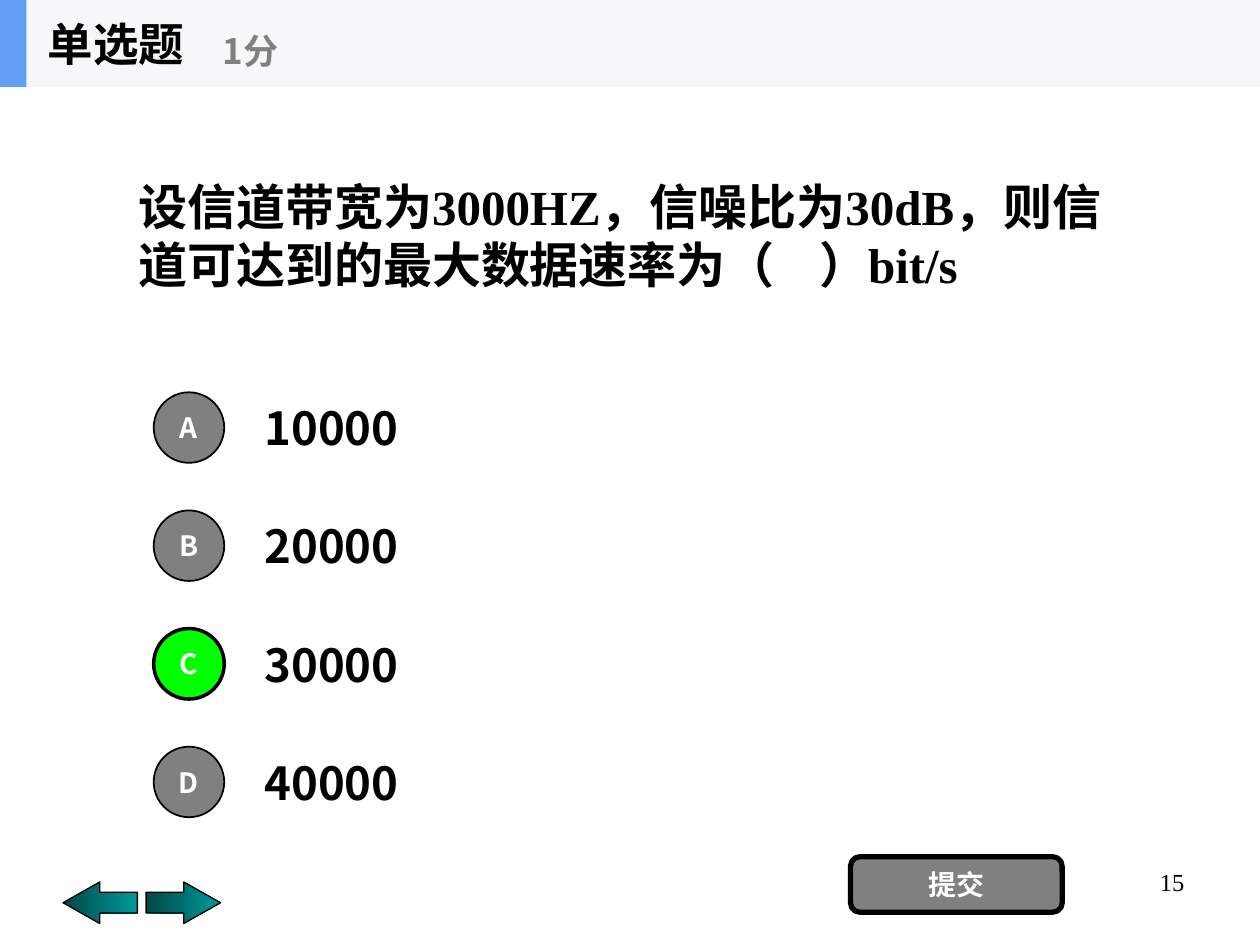
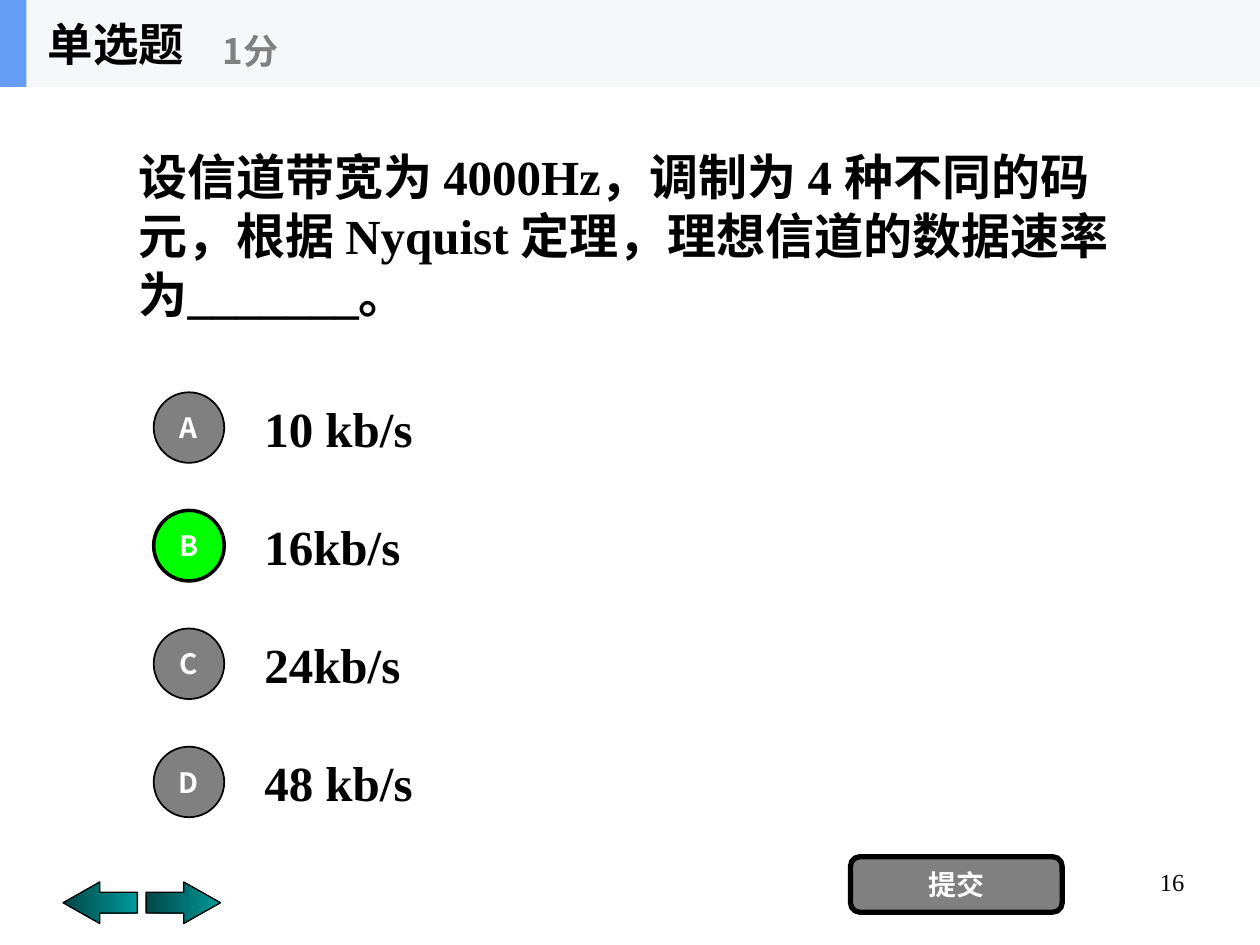
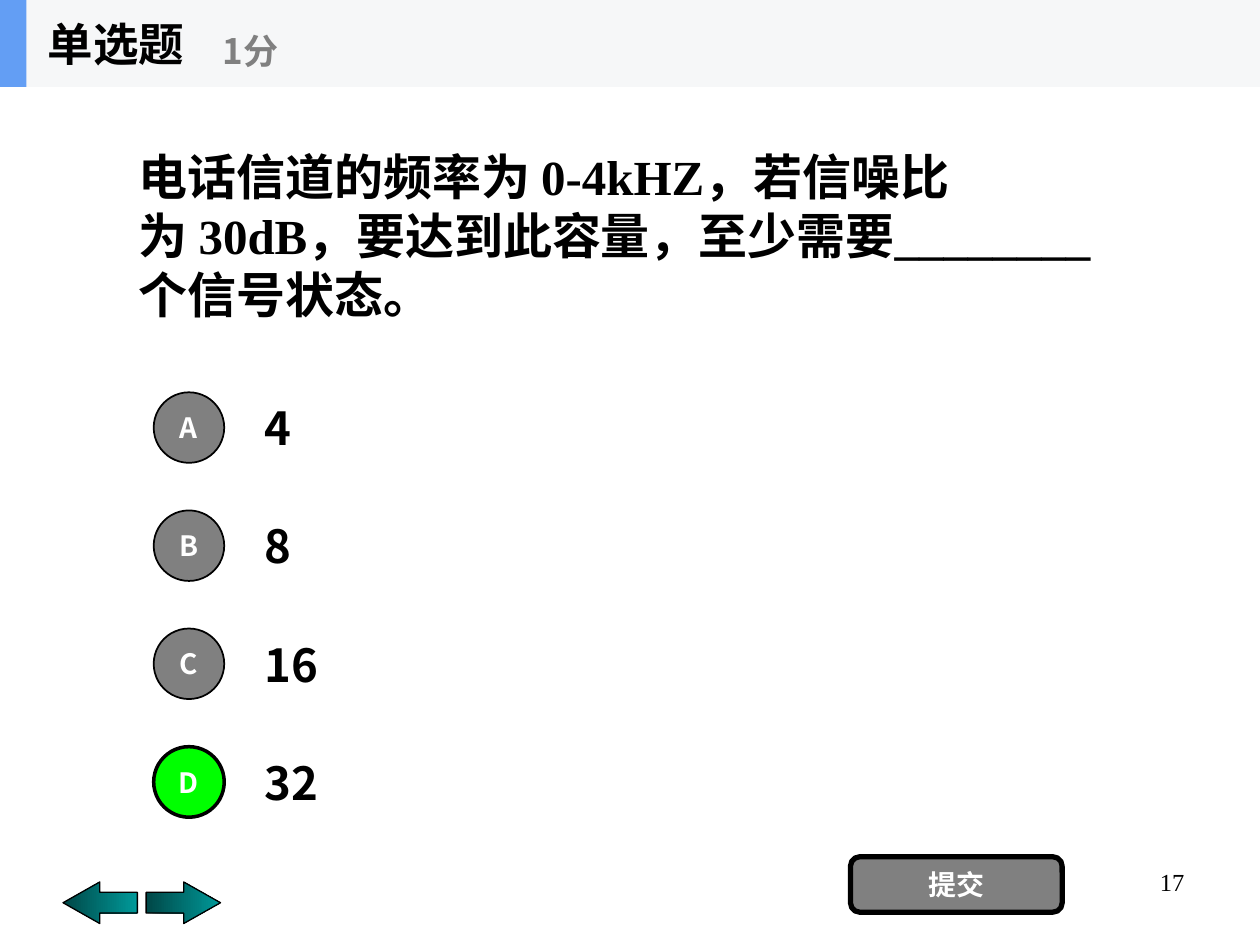
from lxml.etree import SubElement
from pptx import Presentation
from pptx.dml.color import RGBColor
from pptx.enum.shapes import MSO_SHAPE as SHAPE
from pptx.enum.text import MSO_ANCHOR as ANCHOR, MSO_AUTO_SIZE as AUTO_SIZE, PP_ALIGN as ALIGN
from pptx.oxml.ns import qn
from pptx.shapes.shapetree import SlideShapes
from pptx.util import Inches, Pt

COLORS = {
    "black": "000000", "white": "FFFFFF", "gray": "808080", "correct": "00FF00",
    "band": "F6F7F8", "accent": "639EF4", "teal dark": "004747", "teal": "009999",
}
SANS, SERIF = "Noto Sans CJK SC", "Times New Roman"
HARD_SPACE = chr(160)  # keeps a number on the line of the word before it

# Question, options, correct letter, option font and size
QUESTIONS = [
    ("设信道带宽为3000HZ，信噪比为30dB，则信道可达到的最大数据速率为（    ）bit/s",
     ["10000", "20000", "30000", "40000"], "C", SANS, 26),
    ("设信道带宽为 4000Hz，调制为 4 种不同的码元，根据 Nyquist 定理，理想信道的数据速率为_______。",
     ["10 kb/s", "16kb/s", "24kb/s", "48 kb/s"], "B", SERIF, 28),
    (f"电话信道的频率为{HARD_SPACE}0-4kHZ，若信噪比为{HARD_SPACE}30dB，"
     "要达到此容量，至少需要________个信号状态。",
     ["4", "8", "16", "32"], "D", SANS, 26),
]
FIRST_NUMBER = 15

deck = Presentation()
deck.slide_width, deck.slide_height = Inches(10), Inches(7.5)

# Grid: ten columns, eight rows
COLUMN = deck.slide_width // 10
ROW = deck.slide_height // 8
BAND = Inches(0.69)
CIRCLE = Inches(0.56)
OPTION_HEIGHT = Inches(0.7)
FIRST_CENTER = int(3.62 * ROW)


def write(box, text, size, color="black", font=SANS, bold=True,
          align=ALIGN.LEFT, anchor=ANCHOR.MIDDLE):
    frame = box.text_frame
    frame.text = text
    frame.word_wrap = True
    frame.auto_size = AUTO_SIZE.NONE
    frame.vertical_anchor = anchor
    para = frame.paragraphs[0]
    para.alignment = align
    para.space_before = Pt(0)
    properties = para._p.get_or_add_pPr()
    properties.set("marL", "0")
    properties.set("indent", "0")
    SubElement(properties, qn("a:buNone"))
    para.font.size = Pt(size)
    para.font.bold = bold
    para.font.color.rgb = RGBColor.from_string(COLORS[color])
    para.font.name = font
    SubElement(properties.find(qn("a:defRPr")), qn("a:ea"), typeface=SANS)


def draw(shapes, kind, left, top, width, height, fill=None, line_width=0):
    shape = shapes.add_shape(kind, left, top, width, height)
    shape.shadow.inherit = False
    if fill:
        shape.fill.solid()
        shape.fill.fore_color.rgb = RGBColor.from_string(COLORS[fill])
    if line_width:
        shape.line.width = Pt(line_width)
        shape.line.color.rgb = RGBColor.from_string(COLORS["black"])
    else:
        shape.line.fill.background()
    return shape


# Shared layout: header band and navigation arrows
layout = deck.slide_layouts[1]
shared = SlideShapes(layout.shapes._spTree, layout)
draw(shared, SHAPE.RECTANGLE, 0, 0, deck.slide_width, BAND, "band")
draw(shared, SHAPE.RECTANGLE, 0, 0, Inches(0.21), BAND, "accent")
for kind, left in [(SHAPE.LEFT_ARROW, 0.5), (SHAPE.RIGHT_ARROW, 1.16)]:
    arrow = draw(shared, kind, Inches(left), Inches(7), Inches(0.59), Inches(0.33),
                 line_width=0.75)
    arrow.adjustments[1] = 0.885
    arrow.fill.gradient()
    arrow.fill.gradient_angle = 0
    for stop, color in zip(arrow.fill.gradient_stops, ["teal dark", "teal"]):
        stop.color.rgb = RGBColor.from_string(COLORS[color])

for number, (question, options, correct, font, size) in enumerate(QUESTIONS, FIRST_NUMBER):
    page = deck.slides.add_slide(layout)

    # Heading and score
    title = page.shapes.title
    title.left, title.top, title.width, title.height = Inches(0.28), 0, Inches(2.08), BAND
    write(title, "单选题", 26)
    score = page.shapes.add_textbox(Inches(1.67), Inches(0.12), Inches(2.5), Inches(0.56))
    write(score, "1分", 20, "gray")

    # Question
    body = page.placeholders[1]
    body.left, body.top, body.width, body.height = COLUMN, BAND, 8 * COLUMN, Inches(2.35)
    write(body, question, 28, font=SERIF)

    # Options
    for index, (letter, option) in enumerate(zip("ABCD", options)):
        center = FIRST_CENTER + index * ROW
        answer = page.shapes.add_textbox(2 * COLUMN, center - OPTION_HEIGHT // 2,
                                         7 * COLUMN, OPTION_HEIGHT)
        write(answer, option, size, font=font)
        fill, line_width = ("correct", 2) if letter == correct else ("gray", 1)
        circle = draw(page.shapes, SHAPE.OVAL, Inches(1.22), center - CIRCLE // 2,
                      CIRCLE, CIRCLE, fill, line_width)
        write(circle, letter, 16, "white", align=ALIGN.CENTER)

    # Submit button and page number
    button = draw(page.shapes, SHAPE.ROUNDED_RECTANGLE, Inches(6.75), Inches(6.8),
                  Inches(1.68), Inches(0.44), "gray", 3)
    write(button, "提交", 16, "white", align=ALIGN.CENTER)
    footer = page.shapes.add_textbox(Inches(7.17), Inches(6.83), Inches(2.33), Inches(0.52))
    write(footer, str(number), 14, font=SERIF, bold=False, align=ALIGN.RIGHT, anchor=ANCHOR.TOP)

deck.save("out.pptx")
